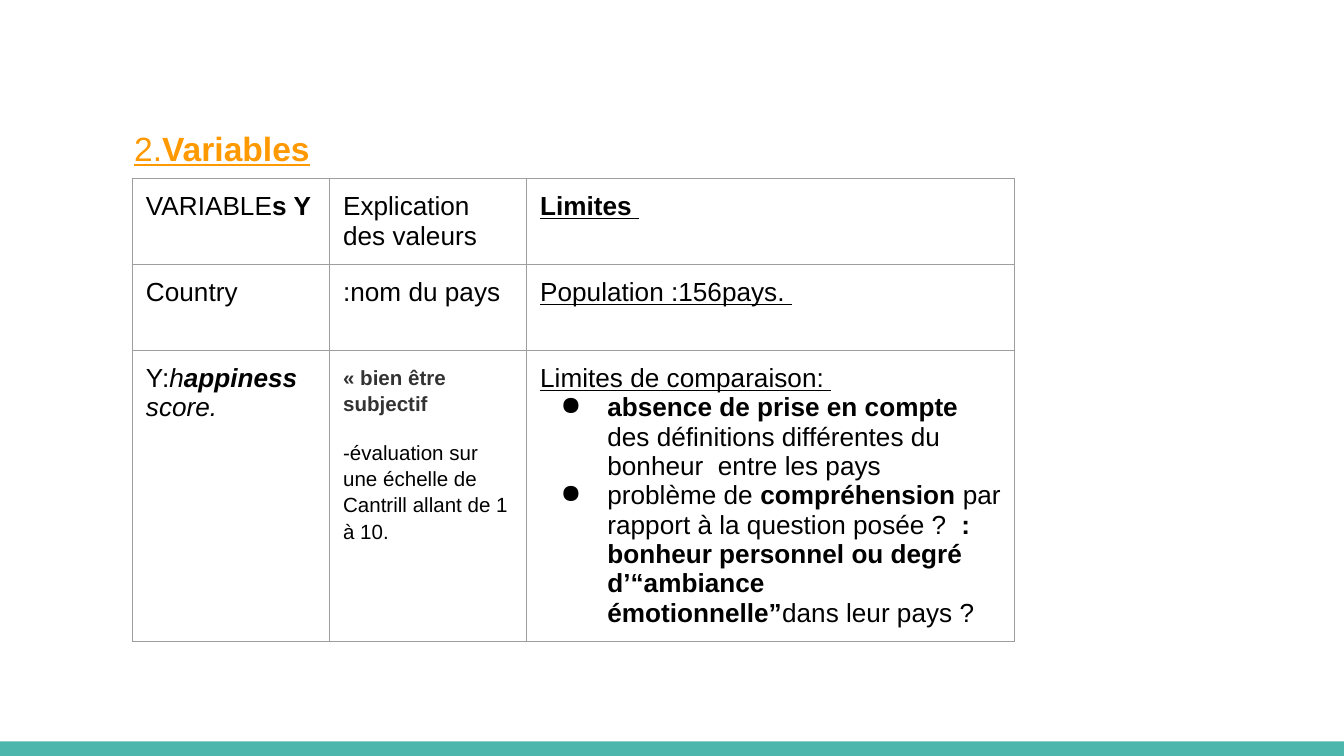
from lxml.etree import SubElement as Sub
from pptx import Presentation
from pptx.dml.color import RGBColor
from pptx.enum.shapes import MSO_SHAPE as Kind
from pptx.oxml import parse_xml
from pptx.oxml.ns import nsdecls, qn
from pptx.util import Pt

TEAL = RGBColor(0x4D, 0xB6, 0xAC)
GREY = RGBColor(0x9E, 0x9E, 0x9E)
DARK = RGBColor(0x33, 0x33, 0x33)
BLACK = RGBColor(0, 0, 0)
ORANGE = RGBColor(0xFF, 0x99, 0)

WIDE, HIGH = 720, 405
COLS = (105.6, 105.6, 261.4)
ROWS = (46, 46, 156)


def put(para, text, size=14, color=BLACK, bold=False, italic=False, under=False):
    run = para.add_run()
    run.text = text
    font = run.font
    font.name = "Arial"
    font.size = Pt(size)
    font.color.rgb = color
    font.bold, font.italic, font.underline = bold, italic, under


def bullet(para):
    props = para._p.get_or_add_pPr()
    props.set("marL", str(Pt(36)))
    props.set("indent", str(-Pt(25)))
    tint = Sub(props, qn("a:buClr"))
    Sub(tint, qn("a:srgbClr"), val=str(BLACK))
    Sub(props, qn("a:buChar"), char="●")


def border(cell):
    props = cell._tc.get_or_add_tcPr()
    for spot, side in enumerate("LRTB"):
        props.insert(spot, parse_xml(
            f'<a:ln{side} {nsdecls("a")} w="{Pt(0.75)}"><a:solidFill>'
            f'<a:srgbClr val="{GREY}"/></a:solidFill></a:ln{side}>'))


class Deck:
    pad = Pt(7.2)

    def __init__(self):
        self.file = Presentation()
        self.file.slide_width, self.file.slide_height = Pt(WIDE), Pt(HIGH)
        self.slide = self.file.slides.add_slide(self.file.slide_layouts[6])

    def inset(self, item):
        item.margin_left = item.margin_right = self.pad
        item.margin_top = item.margin_bottom = self.pad

    def bar(self, left, top, width, height, color):
        shape = self.slide.shapes.add_shape(
            Kind.RECTANGLE, Pt(left), Pt(top), Pt(width), Pt(height))
        shape.shadow.inherit = False
        shape.fill.solid()
        shape.fill.fore_color.rgb = color
        shape.line.fill.background()

    def label(self, left, top, width, height):
        """Add a text box and return its first paragraph."""
        box = self.slide.shapes.add_textbox(
            Pt(left), Pt(top), Pt(width), Pt(height))
        frame = box.text_frame
        frame.word_wrap = True
        self.inset(frame)
        return frame.paragraphs[0]

    def grid(self, left, top, cols, rows):
        """Add an empty ruled table."""
        table = self.slide.shapes.add_table(
            len(rows), len(cols), Pt(left), Pt(top),
            Pt(sum(cols)), Pt(sum(rows))).table
        table.first_row = table.horz_banding = False
        for col, width in zip(table.columns, cols):
            col.width = Pt(width)
        for row, height in zip(table.rows, rows):
            row.height = Pt(height)
        for cell in table.iter_cells():
            self.inset(cell)
            cell.fill.background()
            border(cell)
        return table


def main():
    deck = Deck()
    deck.bar(0, 397.2, WIDE, 7.8, TEAL)
    table = deck.grid(71, 95.6, COLS, ROWS)

    def first(row, col):
        return table.cell(row, col).text_frame.paragraphs[0]

    para = first(0, 0)
    put(para, "VARIABLE")
    put(para, "s Y", bold=True)
    put(first(0, 1), "Explication des valeurs")
    put(first(0, 2), "Limites ", bold=True, under=True)

    put(first(1, 0), "Country")
    put(first(1, 1), ":nom du pays")
    put(first(1, 2), "Population :156pays. ", under=True)

    para = first(2, 0)
    put(para, "Y:")
    put(para, "h", italic=True)
    put(para, "appiness", bold=True, italic=True)
    put(para, " score.", italic=True)

    para = first(2, 1)
    para.line_spacing = 1.15
    put(para, "« bien être subjectif", size=11, color=DARK, bold=True)
    para = table.cell(2, 1).text_frame.add_paragraph()
    para.line_spacing = 1.15
    para.space_before = Pt(12)
    put(para, "-évaluation sur une échelle de Cantrill allant de 1 à 10.", size=11)

    put(first(2, 2), "Limites de comparaison: ", under=True)
    limits = (
        (("absence de prise en compte ", True),
         ("des définitions différentes du bonheur  entre les pays", False)),
        (("problème de ", False),
         ("compréhension ", True),
         ("par rapport à la question posée ?  ", False),
         (": bonheur personnel ou degré d’“ambiance émotionnelle”", True),
         ("dans leur pays ?", False)),
    )
    for runs in limits:
        para = table.cell(2, 2).text_frame.add_paragraph()
        bullet(para)
        for text, bold in runs:
            put(para, text, bold=bold)

    title = deck.label(64.8, 61.2, 331.2, 31)
    put(title, "2.", size=18, color=ORANGE, under=True)
    put(title, "Variables", size=18, color=ORANGE, bold=True, under=True)
    deck.file.save("out.pptx")


if __name__ == "__main__":
    main()
